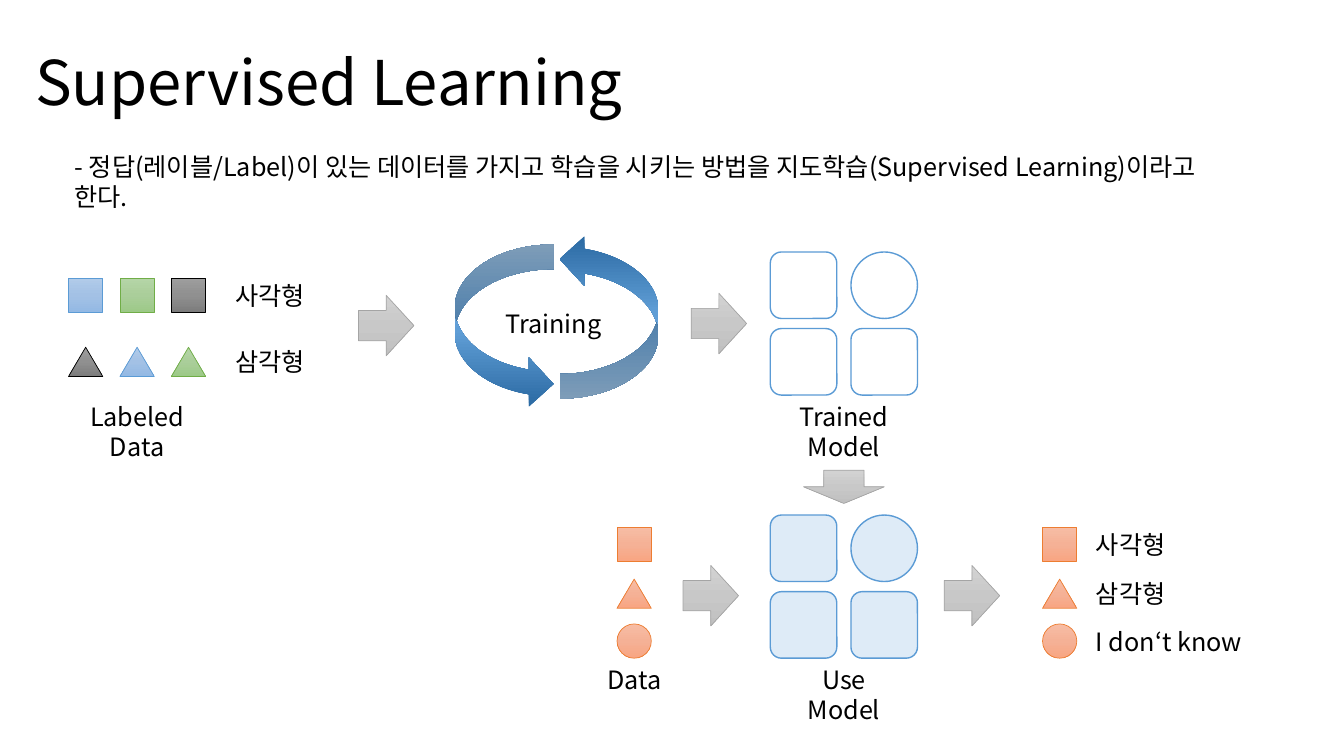
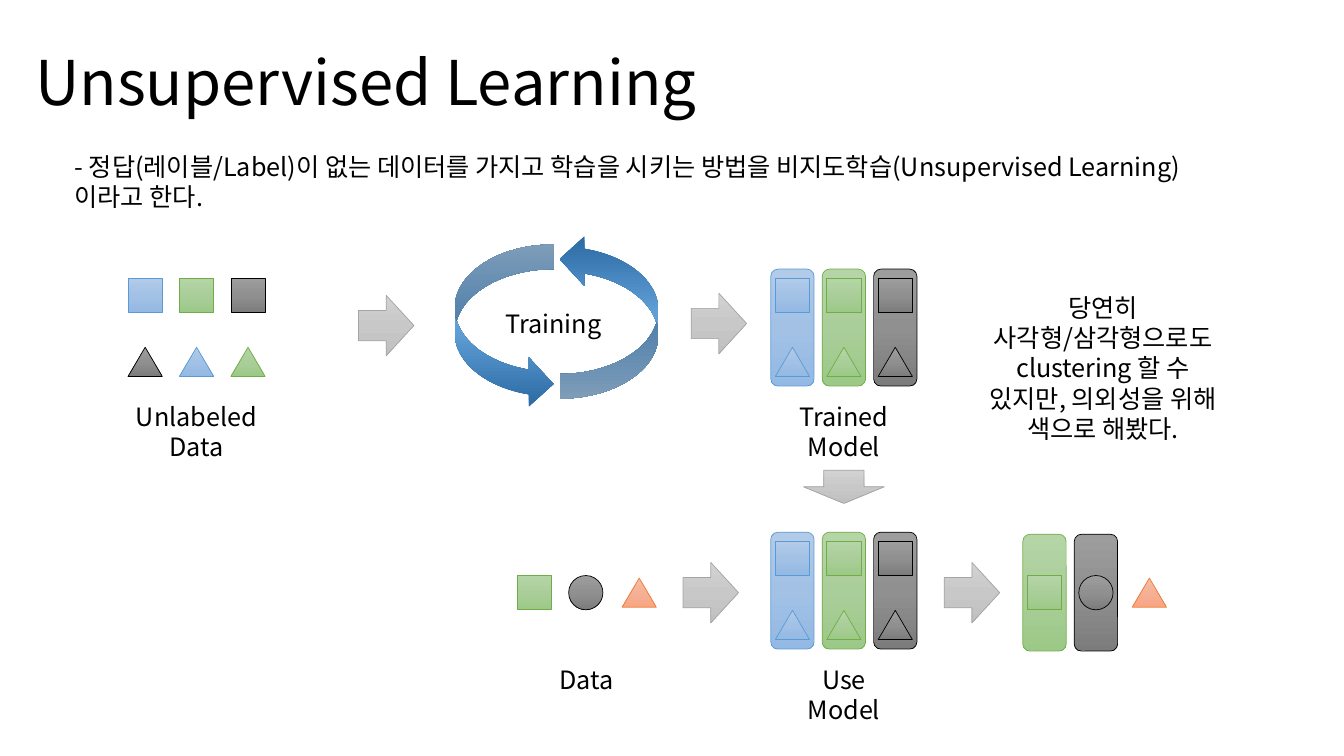
"""Build two slides that explain supervised and unsupervised learning."""
from copy import deepcopy

from lxml import etree
from pptx import Presentation
from pptx.dml.color import RGBColor
from pptx.enum.shapes import MSO_SHAPE
from pptx.enum.text import PP_ALIGN
from pptx.oxml.ns import qn
from pptx.util import Inches, Pt

SQUARE = MSO_SHAPE.RECTANGLE
TRIANGLE = MSO_SHAPE.ISOSCELES_TRIANGLE
CIRCLE = MSO_SHAPE.OVAL
ROUNDED = MSO_SHAPE.ROUNDED_RECTANGLE
RIGHT = MSO_SHAPE.RIGHT_ARROW
DOWN = MSO_SHAPE.DOWN_ARROW
CURVED = MSO_SHAPE.CURVED_RIGHT_ARROW
LEFT_ALIGN = PP_ALIGN.LEFT
CENTER = PP_ALIGN.CENTER

FONT = "Noto Sans CJK KR"
COLORS = {"text": "000000", "blue": "5B9BD5", "green": "70AD47", "black": "000000",
          "orange": "ED7D31", "gray": "A5A5A5", "empty": "FFFFFF", "trained": "DEEBF7"}
GRADIENTS = {
    "blue": ("B1CBE9", "A3C1E5", "93B9E4"),
    "green": ("B5D5A7", "AACE9A", "9CC987"),
    "black": ("9D9D9D", "909090", "7C7C7C"),
    "orange": ("F7BDA5", "F5B196", "F8A582"),
    "gray": ("D2D2D2", "C8C8C8", "C0C0C0"),
    "cycle": ("2A69A2", "609ED6", "9DC3E6"),
}

SUPERVISED = ("Supervised Learning",
              "- 정답(레이블/Label)이 있는 데이터를 가지고 학습을 시키는 방법을 "
              "지도학습(Supervised Learning)이라고 한다.")
UNSUPERVISED = ("Unsupervised Learning",
                "- 정답(레이블/Label)이 없는 데이터를 가지고 학습을 시키는 방법을 "
                "비지도학습(Unsupervised Learning)이라고 한다.")
NOTE = "당연히 사각형/삼각형으로도 clustering 할 수 있지만, 의외성을 위해 색으로 해봤다."
TRAINING_ROWS = [(SQUARE, 2.93, ("blue", "green", "black"), "사각형"),
                 (TRIANGLE, 3.59, ("black", "blue", "green"), "삼각형")]
ANSWERS = [(SQUARE, 5.4, "사각형"), (TRIANGLE, 5.89, "삼각형"), (CIRCLE, 6.36, "I don‘t know")]
CLUSTERS = ("blue", "green", "black")
NEW_DATA = [(SQUARE, "green", 0), (CIRCLE, "black", 0.51), (TRIANGLE, "orange", 1.04)]

SYMBOL_SIZES = {SQUARE: (0.34, 0.34), TRIANGLE: (0.34, 0.29), CIRCLE: (0.34, 0.34)}
PITCH = 0.51
LINE_HEIGHT = 0.4
MODEL_X = 8.37
MODEL_DROP = 2.61


def add_text(slide, text, left, top, width, height=LINE_HEIGHT, size=18, align=LEFT_ALIGN):
    frame = slide.shapes.add_textbox(Inches(left), Inches(top), Inches(width),
                                     Inches(height)).text_frame
    frame.word_wrap = True
    frame.text = text
    for paragraph in frame.paragraphs:
        paragraph.alignment = align
        font = paragraph.font
        font.size = Pt(size)
        font.color.rgb = RGBColor.from_string(COLORS["text"])
        font.name = FONT
        defaults = paragraph._p.pPr.find(qn("a:defRPr"))
        etree.SubElement(defaults, qn("a:ea"), typeface=FONT)


def add_label(slide, text, center_x, top, width=2.18):
    add_text(slide, text, center_x - width / 2, top, width, align=CENTER)


def add_figure(slide, kind, center_x, center_y, width, height):
    shape = slide.shapes.add_shape(kind, Inches(center_x - width / 2),
                                   Inches(center_y - height / 2), Inches(width), Inches(height))
    shape.shadow.inherit = False
    return shape


def set_gradient(shape, name, angle=270, middle=0.5):
    fill = shape.fill
    fill.gradient()
    fill.gradient_angle = angle
    stop_list = shape._element.spPr.find(".//" + qn("a:gsLst"))
    stop_list.insert(1, deepcopy(stop_list[0]))
    for stop, position, color in zip(fill.gradient_stops, (0, middle, 1), GRADIENTS[name]):
        stop.position = position
        stop.color.rgb = RGBColor.from_string(color)


def set_line(shape, name, width=0.5):
    shape.line.color.rgb = RGBColor.from_string(COLORS[name])
    shape.line.width = Pt(width)


def add_shaded(slide, kind, color, center_x, center_y, width, height):
    shape = add_figure(slide, kind, center_x, center_y, width, height)
    set_gradient(shape, color)
    set_line(shape, color)


def add_symbol(slide, kind, color, center_x, center_y):
    add_shaded(slide, kind, color, center_x, center_y, *SYMBOL_SIZES[kind])


def add_capsule(slide, color, center_x, center_y):
    add_shaded(slide, ROUNDED, color, center_x, center_y, 0.43, 1.16)


def add_tile_model(slide, center_y, color):
    for column in (-1, 1):
        for row in (-1, 1):
            kind = CIRCLE if (column, row) == (1, -1) else ROUNDED
            tile = add_figure(slide, kind, MODEL_X + column * 0.4,
                              center_y + row * 0.38, 0.66, 0.66)
            tile.fill.solid()
            tile.fill.fore_color.rgb = RGBColor.from_string(COLORS[color])
            set_line(tile, "blue", 1)


def add_cluster_model(slide, center_y):
    for index, color in enumerate(CLUSTERS):
        center_x = MODEL_X + (index - 1) * PITCH
        add_capsule(slide, color, center_x, center_y)
        add_symbol(slide, SQUARE, color, center_x, center_y - 0.32)
        add_symbol(slide, TRIANGLE, color, center_x, center_y + 0.34)


def add_training_data(slide, left, caption):
    for kind, center_y, colors, _ in TRAINING_ROWS:
        for index, color in enumerate(colors):
            add_symbol(slide, kind, color, left + index * PITCH, center_y)
    add_label(slide, caption, left + PITCH, 3.93)


def add_learning_slide(presentation, content, use_y):
    slide = presentation.slides.add_slide(presentation.slide_layouts[6])
    title, definition = content
    add_text(slide, title, 0.25, 0.39, 12, 0.84, size=44)
    add_text(slide, definition, 0.64, 1.45, 11.74)
    for center_x, center_y, rotation in ((5, 3.24, 0), (6.04, 3.14, 180)):
        arrow = add_figure(slide, CURVED, center_x, center_y, 0.98, 1.63)
        arrow.rotation = rotation
        set_gradient(arrow, "cycle", angle=90, middle=0.48)
        arrow.line.fill.background()
    for center_x, center_y in ((3.83, 3.23), (7.13, 3.21), (7.05, use_y), (9.64, use_y)):
        add_shaded(slide, RIGHT, "gray", center_x, center_y, 0.55, 0.6)
    add_shaded(slide, DOWN, "gray", MODEL_X, 4.83, 0.8, 0.33)
    add_label(slide, "Training", 5.49, 3.01)
    add_label(slide, "Trained\nModel", MODEL_X, 3.93)
    add_label(slide, "Use\nModel", MODEL_X, 6.54)
    return slide


def build_supervised(presentation):
    slide = add_learning_slide(presentation, SUPERVISED, 5.91)
    add_training_data(slide, 0.85, "Labeled\nData")
    for _, center_y, _, answer in TRAINING_ROWS:
        add_label(slide, answer, 2.68, center_y - LINE_HEIGHT / 2, 0.91)
    add_tile_model(slide, 3.21, "empty")
    add_tile_model(slide, 3.21 + MODEL_DROP, "trained")
    for kind, center_y, answer in ANSWERS:
        for center_x in (6.29, 10.51):
            add_symbol(slide, kind, "orange", center_x, center_y)
        add_text(slide, answer, 10.77, center_y - LINE_HEIGHT / 2, 1.69)
    add_label(slide, "Data", 6.29, 6.54)


def build_unsupervised(presentation):
    slide = add_learning_slide(presentation, UNSUPERVISED, 5.88)
    add_training_data(slide, 1.44, "Unlabeled\nData")
    add_cluster_model(slide, 3.25)
    add_cluster_model(slide, 3.25 + MODEL_DROP)
    add_text(slide, NOTE, 9.66, 2.85, 2.56, 1.01, align=CENTER)
    for kind, color, offset in NEW_DATA:
        add_symbol(slide, kind, color, 5.3 + offset, 5.88)
        if color in CLUSTERS:
            add_capsule(slide, color, 10.36 + offset, 5.88)
        add_symbol(slide, kind, color, 10.36 + offset, 5.88)
    add_label(slide, "Data", 5.82, 6.54)


def main():
    presentation = Presentation()
    presentation.slide_width = Inches(13.33)
    presentation.slide_height = Inches(7.5)
    build_supervised(presentation)
    build_unsupervised(presentation)
    presentation.save("out.pptx")


if __name__ == "__main__":
    main()
